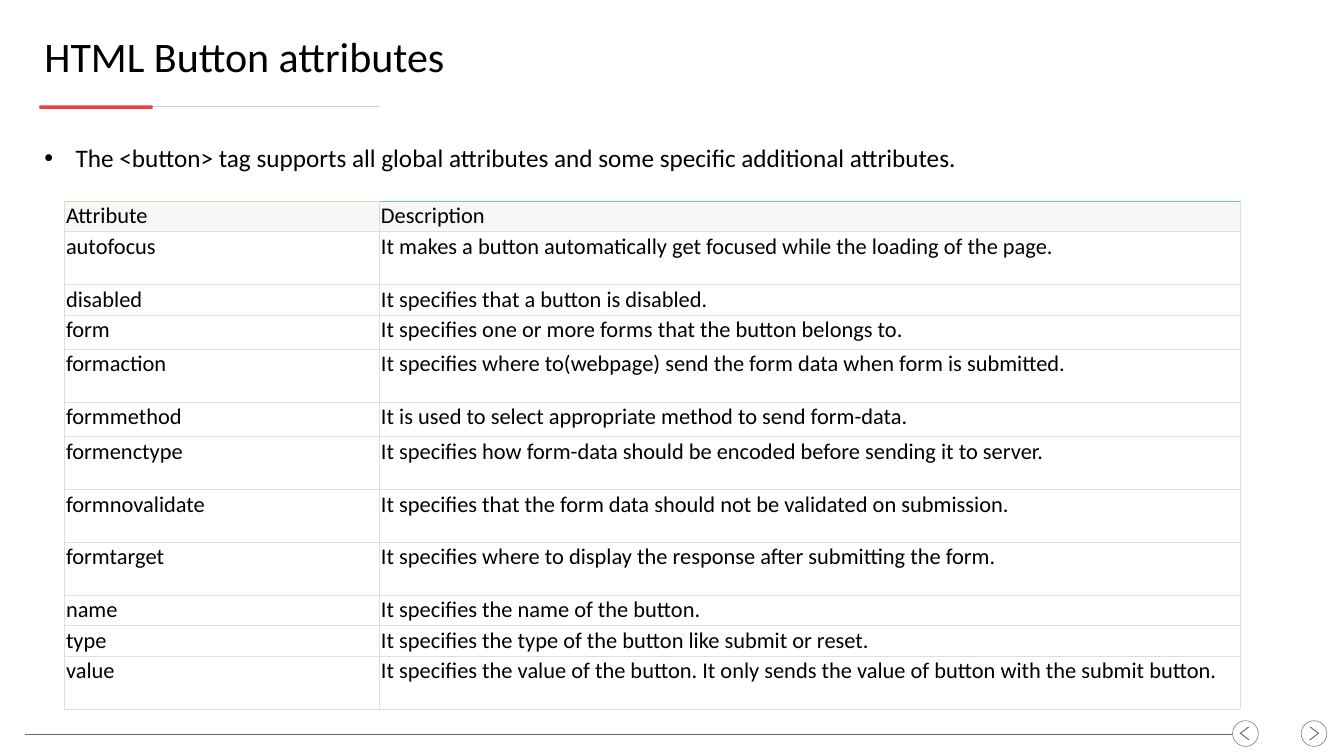
from lxml import etree
from pptx import Presentation
from pptx.dml.color import RGBColor
from pptx.enum.shapes import MSO_CONNECTOR, MSO_SHAPE
from pptx.enum.text import MSO_ANCHOR, MSO_AUTO_SIZE, PP_ALIGN
from pptx.oxml.ns import qn
from pptx.util import Inches, Pt

STRAIGHT = MSO_CONNECTOR.STRAIGHT
RECTANGLE, OVAL, CHEVRON = MSO_SHAPE.RECTANGLE, MSO_SHAPE.OVAL, MSO_SHAPE.CHEVRON
TOP, MIDDLE, BOTTOM = MSO_ANCHOR.TOP, MSO_ANCHOR.MIDDLE, MSO_ANCHOR.BOTTOM
NO_AUTOFIT = MSO_AUTO_SIZE.NONE
LEFT = PP_ALIGN.LEFT

COLORS = {
    "text": "000000",
    "accent": "F23A43",
    "rule": "CBD0D7",
    "navigation": "6C6C6C",
    "border": "DDDDDD",
    "header": "F7F7F7",
    "cell": "FFFFFF",
    "attribute_top": "D0DCA5",
    "description_top": "50E0A5",
}
FONT = "Calibri"
COLUMN_WIDTHS = [6.25, 17.08]
HEADER_TOPS = ["attribute_top", "description_top"]
ATTRIBUTES = [
    ("Attribute", "Description", 0.58),
    ("autofocus", "It makes a button automatically get focused while the loading of the page.", 1.05),
    ("disabled", "It specifies that a button is disabled.", 0.58),
    ("form", "It specifies one or more forms that the button belongs to.", 0.68),
    ("formaction", "It specifies where to(webpage) send the form data when form is submitted.", 1.05),
    ("formmethod", "It is used to select appropriate method to send form-data.", 0.68),
    ("formenctype", "It specifies how form-data should be encoded before sending it to server.", 1.05),
    ("formnovalidate", "It specifies that the form data should not be validated on submission.", 1.05),
    ("formtarget", "It specifies where to display the response after submitting the form.", 1.05),
    ("name", "It specifies the name of the button.", 0.58),
    ("type", "It specifies the type of the button like submit or reset.", 0.58),
    ("value", "It specifies the value of the button. It only sends the value of button "
              "with the submit button.", 1.05),
]


def rgb(name):
    """Return the palette colour of that name."""
    return RGBColor.from_string(COLORS[name])


def write_text(frame, text, size, color="text", line_spacing=None, space_after=0, indent=0):
    """Write one left-aligned paragraph, with a hanging bullet if indented."""
    frame.text = text
    paragraph = frame.paragraphs[0]
    paragraph.alignment = LEFT
    paragraph.space_before = Pt(0)
    paragraph.space_after = Pt(space_after)
    if line_spacing:
        paragraph.line_spacing = line_spacing
    if indent:
        properties = paragraph._p.get_or_add_pPr()
        properties.set("marL", str(Inches(indent)))
        properties.set("indent", str(-Inches(indent)))
        etree.SubElement(properties, qn("a:buFont"), typeface="Arial")
        etree.SubElement(properties, qn("a:buChar"), char="•")
    font = paragraph.runs[0].font
    font.name = FONT
    font.size = Pt(size)
    font.color.rgb = rgb(color)


def fill_placeholder(placeholder, left, top, width, height, text, anchor, **text_format):
    """Place a template placeholder in its box and write its text."""
    placeholder.left, placeholder.top = Inches(left), Inches(top)
    placeholder.width, placeholder.height = Inches(width), Inches(height)
    frame = placeholder.text_frame
    frame.word_wrap = True
    frame.auto_size = NO_AUTOFIT
    frame.vertical_anchor = anchor
    write_text(frame, text, **text_format)


def add_rule(shapes, left, top, width, color, weight):
    """Draw a horizontal line without a shadow."""
    rule = shapes.add_connector(STRAIGHT, Inches(left), Inches(top), Inches(left + width), Inches(top))
    rule.line.color.rgb = rgb(color)
    rule.line.width = Pt(weight)
    etree.SubElement(rule._element.spPr, qn("a:effectLst"))


def add_plain_shape(shapes, kind, left, top, width, height, fill=None, line=None):
    """Draw a preset shape with an optional fill and outline."""
    shape = shapes.add_shape(kind, Inches(left), Inches(top), Inches(width), Inches(height))
    shape.shadow.inherit = False
    if fill:
        shape.fill.solid()
        shape.fill.fore_color.rgb = rgb(fill)
    else:
        shape.fill.background()
    if line:
        shape.line.color.rgb = rgb(line)
        shape.line.width = Pt(0.75)
    else:
        shape.line.fill.background()
    return shape


def add_title_underline(shapes, left, top, width):
    """Draw the grey rule whose first third is a thick accent bar."""
    add_rule(shapes, left, top, width, "rule", 1.5)
    add_plain_shape(shapes, RECTANGLE, left, top - 0.03, width / 3, 0.07, fill="accent")


def add_navigation_button(shapes, left, top, size, arrow_offset, backward=False):
    """Draw a circled chevron that points forward or backward."""
    button = shapes.add_group_shape().shapes
    add_plain_shape(button, OVAL, left, top, size, size, line="navigation")
    arrow = add_plain_shape(button, CHEVRON, left + arrow_offset, top + 0.12, 0.2, 0.26, fill="navigation")
    arrow.adjustments[0] = 0.84
    if backward:
        arrow._element.spPr.find(qn("a:xfrm")).set("flipH", "1")


def add_footer(shapes, left, top, width, size=0.51):
    """Draw the footer rule and its two navigation buttons."""
    back_left = left + width - 1.87
    add_rule(shapes, left, top + 0.26, back_left - left, "navigation", 0.75)
    add_navigation_button(shapes, back_left, top, size, 0.14, backward=True)
    add_navigation_button(shapes, left + width - size, top, size, 0.16)


def set_borders(cell, top_color):
    """Give a cell thin borders on all four sides."""
    properties = cell._tc.get_or_add_tcPr()
    for side in ("lnL", "lnR", "lnT", "lnB"):
        border = etree.SubElement(properties, qn(f"a:{side}"), w=str(Pt(0.75)))
        solid = etree.SubElement(border, qn("a:solidFill"))
        color = top_color if side == "lnT" else "border"
        etree.SubElement(solid, qn("a:srgbClr"), val=COLORS[color])


def add_attribute_table(shapes, left, top, width, height):
    """Build the table of button attributes."""
    table = shapes.add_table(len(ATTRIBUTES), len(COLUMN_WIDTHS), Inches(left), Inches(top),
                             Inches(width), Inches(height)).table
    table.horz_banding = False
    for column, column_width in zip(table.columns, COLUMN_WIDTHS):
        column.width = Inches(column_width)
    for row_index, (attribute, description, row_height) in enumerate(ATTRIBUTES):
        table.rows[row_index].height = Inches(row_height)
        is_header = row_index == 0
        for column_index, text in enumerate((attribute, description)):
            cell = table.cell(row_index, column_index)
            cell.margin_left = cell.margin_right = Inches(0.03)
            cell.margin_top = cell.margin_bottom = Inches(0.03)
            cell.vertical_anchor = BOTTOM if is_header else TOP
            set_borders(cell, HEADER_TOPS[column_index] if is_header else "border")
            cell.fill.solid()
            cell.fill.fore_color.rgb = rgb("header" if is_header else "cell")
            write_text(cell.text_frame, text, size=32)


def main():
    """Build the slide and save it."""
    presentation = Presentation()
    presentation.slide_width, presentation.slide_height = Inches(26.67), Inches(15)
    slide = presentation.slides.add_slide(presentation.slide_layouts[1])
    shapes = slide.shapes
    add_title_underline(shapes, 0.78, 2.12, 6.74)
    add_footer(shapes, 0.49, 14.3, 25.84)
    fill_placeholder(shapes.title, 0.78, 0.59, 25.05, 1.04, "HTML Button attributes", MIDDLE,
                     size=60, space_after=12)
    fill_placeholder(slide.placeholders[1], 0.78, 2.63, 23.33, 10.88,
                     "The <button> tag supports all global attributes and some specific additional attributes.",
                     TOP, size=36, line_spacing=1.25, space_after=12, indent=0.62)
    add_attribute_table(shapes, 1.28, 3.99, sum(COLUMN_WIDTHS), 10.08)
    presentation.save("out.pptx")


if __name__ == "__main__":
    main()
